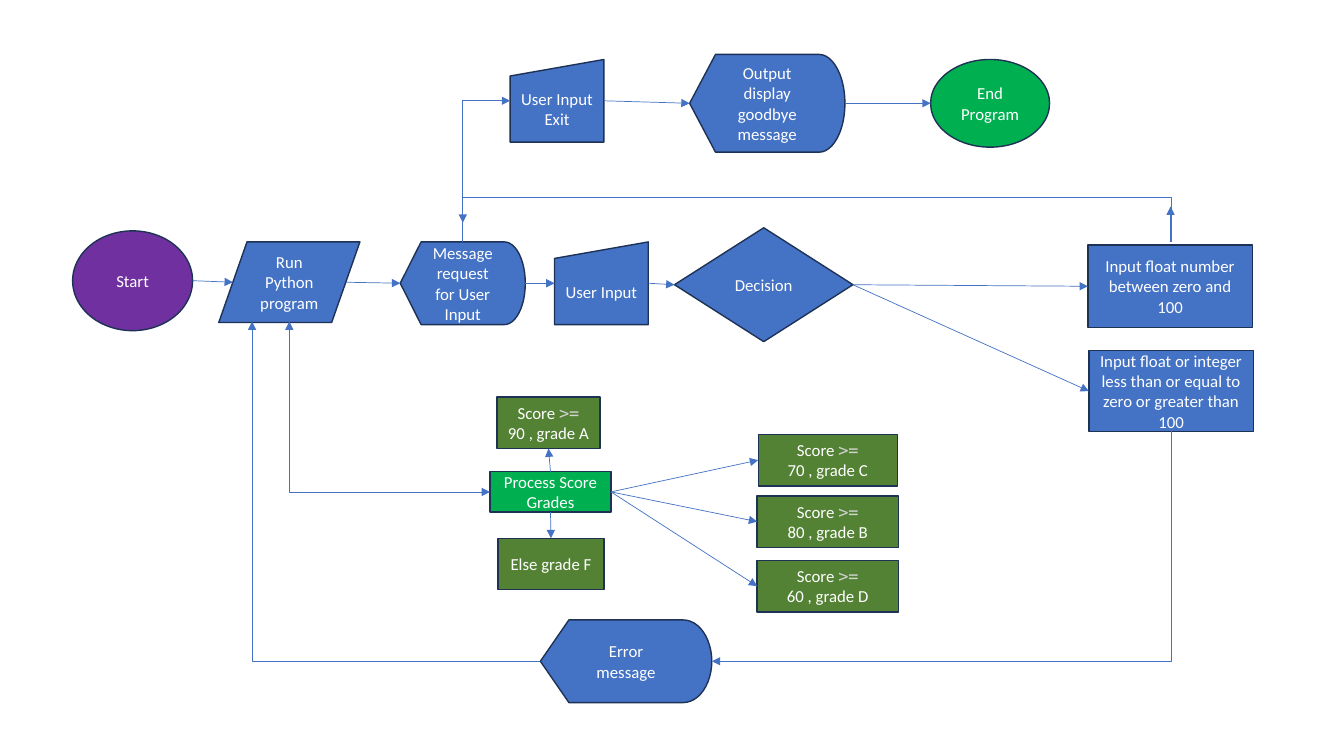
from lxml import etree
from pptx import Presentation
from pptx.dml.color import RGBColor
from pptx.enum.shapes import MSO_CONNECTOR, MSO_SHAPE
from pptx.enum.text import MSO_ANCHOR, PP_ALIGN
from pptx.oxml.ns import qn
from pptx.util import Inches, Pt

STRAIGHT, ELBOW = MSO_CONNECTOR.STRAIGHT, MSO_CONNECTOR.ELBOW
CIRCLE = MSO_SHAPE.FLOWCHART_CONNECTOR
DATA = MSO_SHAPE.FLOWCHART_DATA
PROCESS = MSO_SHAPE.FLOWCHART_PROCESS
DECISION = MSO_SHAPE.FLOWCHART_DECISION
DISPLAY = MSO_SHAPE.FLOWCHART_DISPLAY
MANUAL = MSO_SHAPE.FLOWCHART_MANUAL_INPUT
CENTER, MIDDLE = PP_ALIGN.CENTER, MSO_ANCHOR.MIDDLE

THEME = {
    "blue": "4472C4", "purple": "7030A0", "green": "00B050", "olive": "548235",
    "outline": "1E3256", "text": "FFFFFF", "code": "D4D4D4",
    "font": "Calibri", "code_font": "DejaVu Sans Mono",
    "size": 12, "outline_width": 1, "link_width": 0.5,
}

NODES = {
    "start": (CIRCLE, "purple", (0.72, 2.29, 1.19, 0.99), "Start"),
    "run": (DATA, "blue", (2.17, 2.4, 1.4, 0.8), "Run Python program"),
    "invalid": (PROCESS, "blue", (10.8, 3.48, 1.63, 0.8),
                "Input float or integer less than or equal to zero or greater than 100"),
    "decision": (DECISION, "blue", (6.69, 2.26, 1.77, 1.13), "Decision"),
    "goodbye": (DISPLAY, "blue", (6.84, 0.54, 1.54, 0.97), "Output display goodbye message"),
    "request": (DISPLAY, "blue", (3.97, 2.4, 1.24, 0.82), "Message request for User Input"),
    "input": (MANUAL, "blue", (5.5, 2.4, 0.93, 0.82), "User Input"),
    "valid": (PROCESS, "blue", (10.79, 2.43, 1.63, 0.82),
              "Input float number between zero and 100"),
    "grades": (PROCESS, "green", (4.86, 4.68, 1.2, 0.4), "Process Score Grades"),
    "error": (DISPLAY, "blue", (5.36, 6.15, 1.7, 0.82), "Error message"),
    "exit": (MANUAL, "blue", (5.06, 0.59, 0.93, 0.82), "User Input Exit"),
    "end": (CIRCLE, "green", (9.23, 0.59, 1.18, 0.87), "End Program"),
    "grade_a": (PROCESS, "olive", (4.93, 3.94, 1.02, 0.51), "Score >=\n90 , grade A"),
    "grade_b": (PROCESS, "olive", (7.51, 4.92, 1.4, 0.51), "Score >=\n80 , grade B"),
    "grade_c": (PROCESS, "olive", (7.52, 4.31, 1.38, 0.51), "Score >=\n70 , grade C"),
    "grade_d": (PROCESS, "olive", (7.51, 5.56, 1.4, 0.51), "Score >=\n60 , grade D"),
    "grade_f": (PROCESS, "olive", (4.94, 5.34, 1.05, 0.51), "Else grade F"),
}

LINKS = [
    ("start", "right", "run", "left"),
    ("run", "right", "request", "left"),
    ("request", "right", "input", "left"),
    ("input", "right", "decision", "left"),
    ("exit", "right", "goodbye", "left"),
    ("goodbye", "right", "end", "left"),
    ("decision", "right", "valid", "left"),
    ("decision", "right", "invalid", "left"),
    ("grades", "right", "grade_c", "left"),
    ("grades", "right", "grade_b", "left"),
    ("grades", "right", "grade_d", "left"),
    ("grades", "bottom", "grade_f", "top"),
    ("grades", "top", "grade_a", "bottom"),
]

RETURN_ARROW = ((11.61, 2.4), (11.61, 2.05))

BENDS = [
    {"ends": ((5.36, 6.56), (2.5, 3.19)), "rot": 180},
    {"ends": ((4.59, 2.4), (5.06, 1)), "rot": 90, "flips": ("flipH", "flipV")},
    {"ends": ((11.62, 2.4), (4.59, 2.21)), "rot": 270, "flips": ("flipV",), "adj": 2.34},
    {"ends": ((11.62, 4.27), (7.06, 6.56)), "rot": 90},
    {"ends": ((4.86, 4.88), (2.87, 3.19)), "rot": 180, "heads": ("headEnd", "tailEnd")},
]

SIDES = ("top", "left", "bottom", "right")
FOUR_SITES = (PROCESS, DECISION, DISPLAY, MANUAL)


def rgb(name):
    return RGBColor.from_string(THEME[name])


def set_line(sp, color, width):
    sp.line.color.rgb = rgb(color)
    sp.line.width = Pt(THEME[width])


def add_run(p, text, color="text", font="font"):
    r = p.add_run()
    r.text = text
    for key, value in {"name": THEME[font], "size": Pt(THEME["size"])}.items():
        setattr(r.font, key, value)
    r.font.color.rgb = rgb(color)


def add_node(s, kind, fill, box, text):
    sp = s.shapes.add_shape(kind, *map(Inches, box))
    sp.shadow.inherit = False
    sp.fill.solid()
    sp.fill.fore_color.rgb = rgb(fill)
    set_line(sp, "outline", "outline_width")
    tf = sp.text_frame
    for key, value in {"word_wrap": True, "vertical_anchor": MIDDLE}.items():
        setattr(tf, key, value)
    for i, line in enumerate(text.split("\n")):
        p = tf.add_paragraph() if i else tf.paragraphs[0]
        p.alignment = CENTER
        words, sign, _ = line.partition(">=")
        add_run(p, words)
        if sign:
            add_run(p, sign, "code", "code_font")
    return sp


def port(name, side):
    kind, _, (x, y, w, h), _ = NODES[name]
    inset = w / 10 if kind == DATA else 0
    return {"top": (x + w / 2, y), "left": (x + inset, y + h / 2),
            "bottom": (x + w / 2, y + h), "right": (x + w - inset, y + h / 2)}[side]


def add_arrow(s, kind, begin, end, heads=("tailEnd",)):
    cx = s.shapes.add_connector(kind, *map(Inches, (*begin, *end)))
    set_line(cx, "blue", "link_width")
    ln = cx.line._get_or_add_ln()
    for head in heads:
        etree.SubElement(ln, qn("a:" + head), type="triangle")
    etree.SubElement(cx._element.spPr, qn("a:effectLst"))
    return cx


def add_bend(s, ends, rot, flips=(), adj=None, heads=("tailEnd",)):
    (x1, y1), (x2, y2) = ends
    w, h = abs(x2 - x1), abs(y2 - y1)
    if rot % 180:
        w, h = h, w
    left, top = (x1 + x2 - w) / 2, (y1 + y2 - h) / 2
    cx = add_arrow(s, ELBOW, (left, top), (left + w, top + h), heads)
    xfrm = cx._element.spPr.find(qn("a:xfrm"))
    xfrm.set("rot", str(rot * 60000))
    for flip in flips:
        xfrm.set(flip, "1")
    geom = cx._element.spPr.find(qn("a:prstGeom"))
    if adj is None:
        geom.set("prst", "bentConnector2")
    else:
        guides = geom.find(qn("a:avLst"))
        etree.SubElement(guides, qn("a:gd"), name="adj1", fmla=f"val {round(adj * 100000)}")


def main():
    prs = Presentation()
    prs.slide_width, prs.slide_height = Inches(13.33), Inches(7.5)
    s = prs.slides.add_slide(prs.slide_layouts[6])
    shapes = {name: add_node(s, *node) for name, node in NODES.items()}
    for source, out_side, target, in_side in LINKS:
        cx = add_arrow(s, STRAIGHT, port(source, out_side), port(target, in_side))
        if NODES[source][0] in FOUR_SITES:
            cx.begin_connect(shapes[source], SIDES.index(out_side))
        if NODES[target][0] in FOUR_SITES:
            cx.end_connect(shapes[target], SIDES.index(in_side))
    add_arrow(s, STRAIGHT, *RETURN_ARROW)
    for bend in BENDS:
        add_bend(s, **bend)
    prs.save("out.pptx")


if __name__ == "__main__":
    main()
